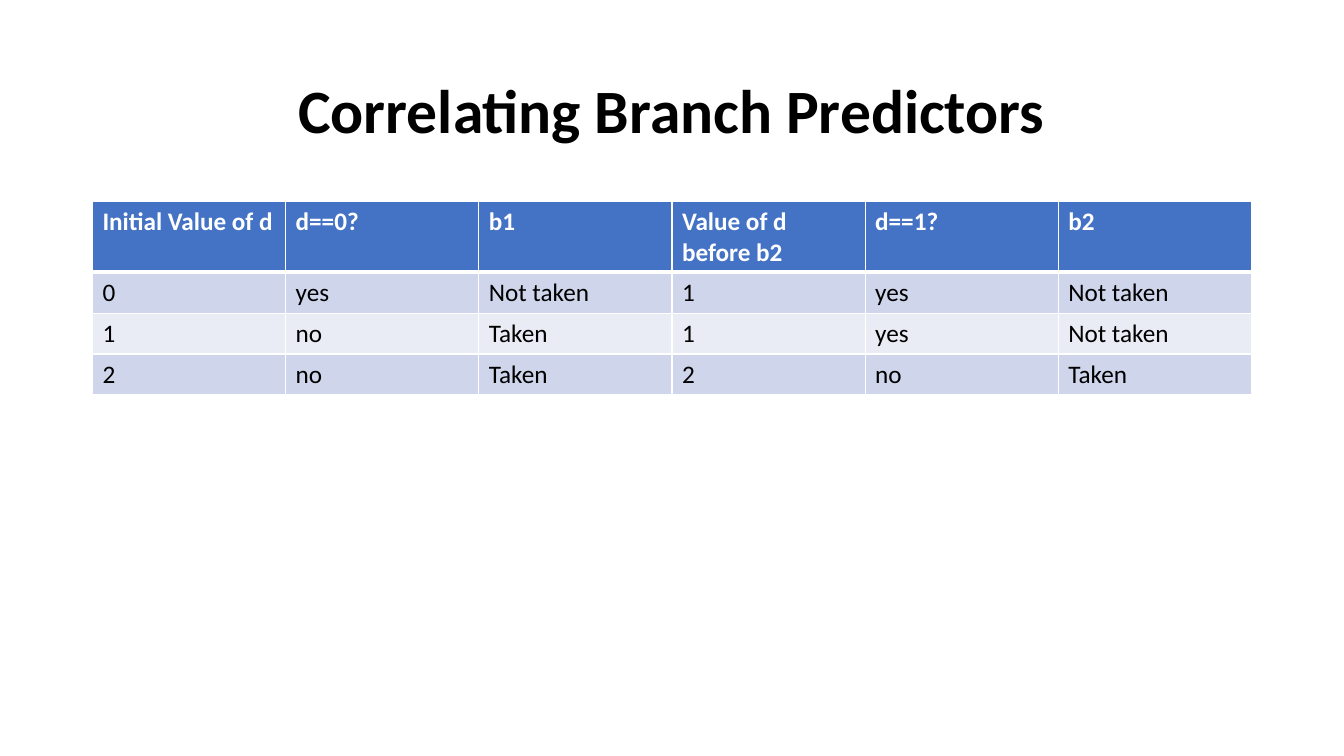
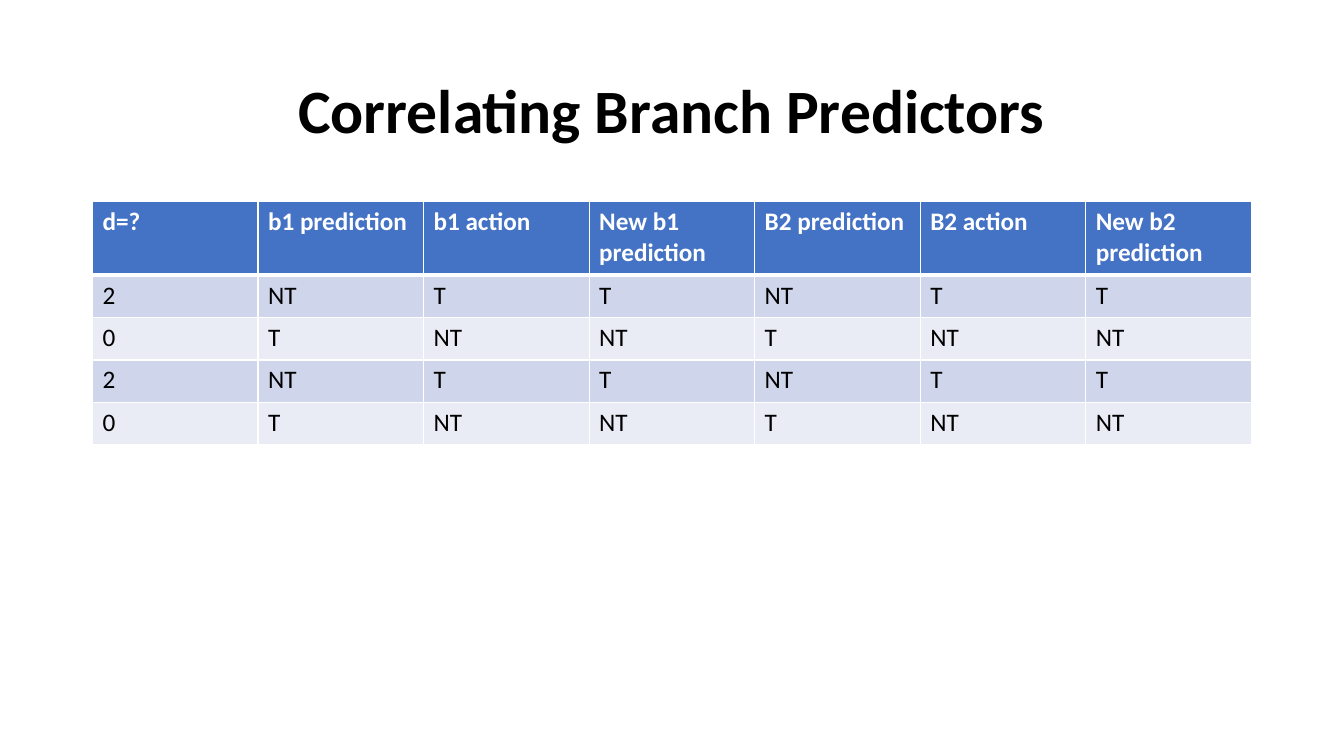
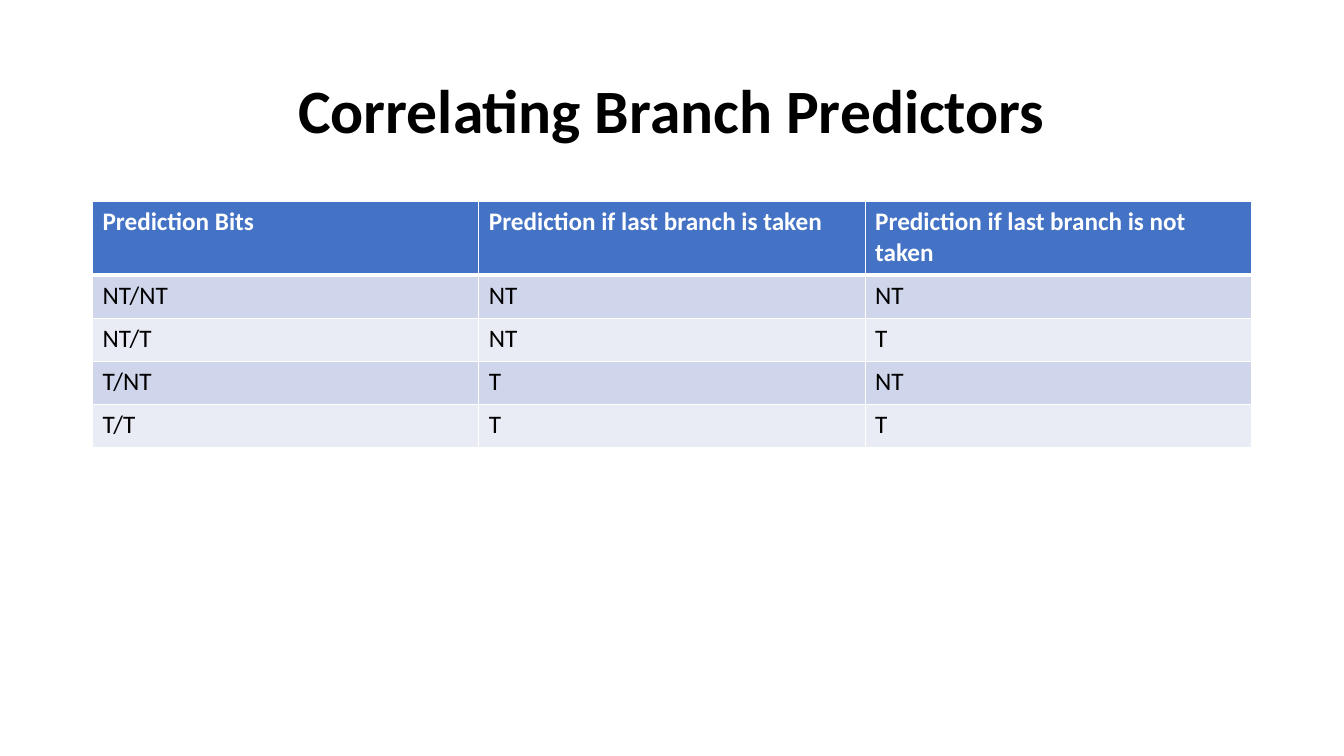
from lxml import etree
from pptx import Presentation
from pptx import util as u
from pptx.dml import color
from pptx.enum import text
from pptx.oxml import ns

COLORS = {
    "title": "000000",
    "header_fill": "4472C4",
    "header_text": "FFFFFF",
    "body_text": "000000",
    "odd_row": "CFD5EA",
    "even_row": "E9EBF5",
    "rule": "FFFFFF",
}
FONT = "Calibri"
TITLE = "Correlating Branch Predictors"
LEFT, WIDTH = 2.33, 29.21
TITLE_TOP, TITLE_HEIGHT = 1.01, 3.68
TABLE_TOP = 5.08
THIN, THICK = 1, 3

BRANCH_OUTCOMES = [
    ["Initial Value of d", "d==0?", "b1", "Value of d before b2", "d==1?", "b2"],
    ["0", "yes", "Not taken", "1", "yes", "Not taken"],
    ["1", "no", "Taken", "1", "yes", "Not taken"],
    ["2", "no", "Taken", "2", "no", "Taken"],
]
AFTER_TWO = ["2", "NT", "T", "T", "NT", "T", "T"]
AFTER_ZERO = ["0", "T", "NT", "NT", "T", "NT", "NT"]
ONE_BIT_HISTORY = [
    ["d=?", "b1 prediction", "b1 action", "New b1 prediction",
     "B2 prediction", "B2 action", "New b2 prediction"],
] + [AFTER_TWO, AFTER_ZERO] * 2
PREDICTION_BITS = [
    ["Prediction Bits", "Prediction if last branch is taken",
     "Prediction if last branch is not taken"],
] + [[f"{taken}/{not_taken}", taken, not_taken]
     for taken in ("NT", "T") for not_taken in ("NT", "T")]


def rgb(name):
    return color.RGBColor.from_string(COLORS[name])


def style_text(paragraph, size, color_name, bold):
    for run in paragraph.runs:
        run.font.name = FONT
        run.font.size = u.Pt(size)
        run.font.bold = bold
        run.font.color.rgb = rgb(color_name)


def add_title(slide):
    frame = slide.shapes.add_textbox(
        u.Cm(LEFT), u.Cm(TITLE_TOP), u.Cm(WIDTH), u.Cm(TITLE_HEIGHT)).text_frame
    frame.word_wrap = True
    frame.vertical_anchor = text.MSO_ANCHOR.MIDDLE
    frame.text = TITLE
    heading = frame.paragraphs[0]
    heading.alignment = text.PP_ALIGN.CENTER
    heading.line_spacing = 0.9
    style_text(heading, 44, "title", True)


def set_borders(cell, top, bottom):
    properties = cell._tc.get_or_add_tcPr()
    for side, points in (("L", THIN), ("R", THIN), ("T", top), ("B", bottom)):
        line = etree.SubElement(properties, ns.qn(f"a:ln{side}"), w=str(u.Pt(points)))
        fill = etree.SubElement(line, ns.qn("a:solidFill"))
        etree.SubElement(fill, ns.qn("a:srgbClr"), val=COLORS["rule"])


def style_cell(cell, row_index):
    is_header = row_index == 0
    set_borders(cell, THICK if row_index == 1 else THIN, THICK if is_header else THIN)
    band = "header_fill" if is_header else "odd_row" if row_index % 2 else "even_row"
    cell.fill.solid()
    cell.fill.fore_color.rgb = rgb(band)
    style_text(cell.text_frame.paragraphs[0], 18,
               "header_text" if is_header else "body_text", is_header)


def add_branch_table(slide, rows, header_height, row_height):
    heights = [header_height] + [row_height] * (len(rows) - 1)
    table = slide.shapes.add_table(
        len(rows), len(rows[0]), u.Cm(LEFT), u.Cm(TABLE_TOP),
        u.Cm(WIDTH), u.Cm(sum(heights))).table
    table.horz_banding = False
    for column in table.columns:
        column.width = u.Cm(WIDTH / len(rows[0]))
    for row_index, (values, height) in enumerate(zip(rows, heights)):
        table.rows[row_index].height = u.Cm(height)
        for column_index, value in enumerate(values):
            cell = table.cell(row_index, column_index)
            cell.text_frame.text = value
            style_cell(cell, row_index)


def main():
    deck = Presentation()
    deck.slide_width, deck.slide_height = u.Cm(33.87), u.Cm(19.05)
    for rows, header_height, row_height in (
        (BRANCH_OUTCOMES, 1.78, 1.03),
        (ONE_BIT_HISTORY, 1.85, 1.07),
        (PREDICTION_BITS, 1.85, 1.09),
    ):
        slide = deck.slides.add_slide(deck.slide_layouts[6])
        add_title(slide)
        add_branch_table(slide, rows, header_height, row_height)
    deck.save("out.pptx")


if __name__ == "__main__":
    main()
